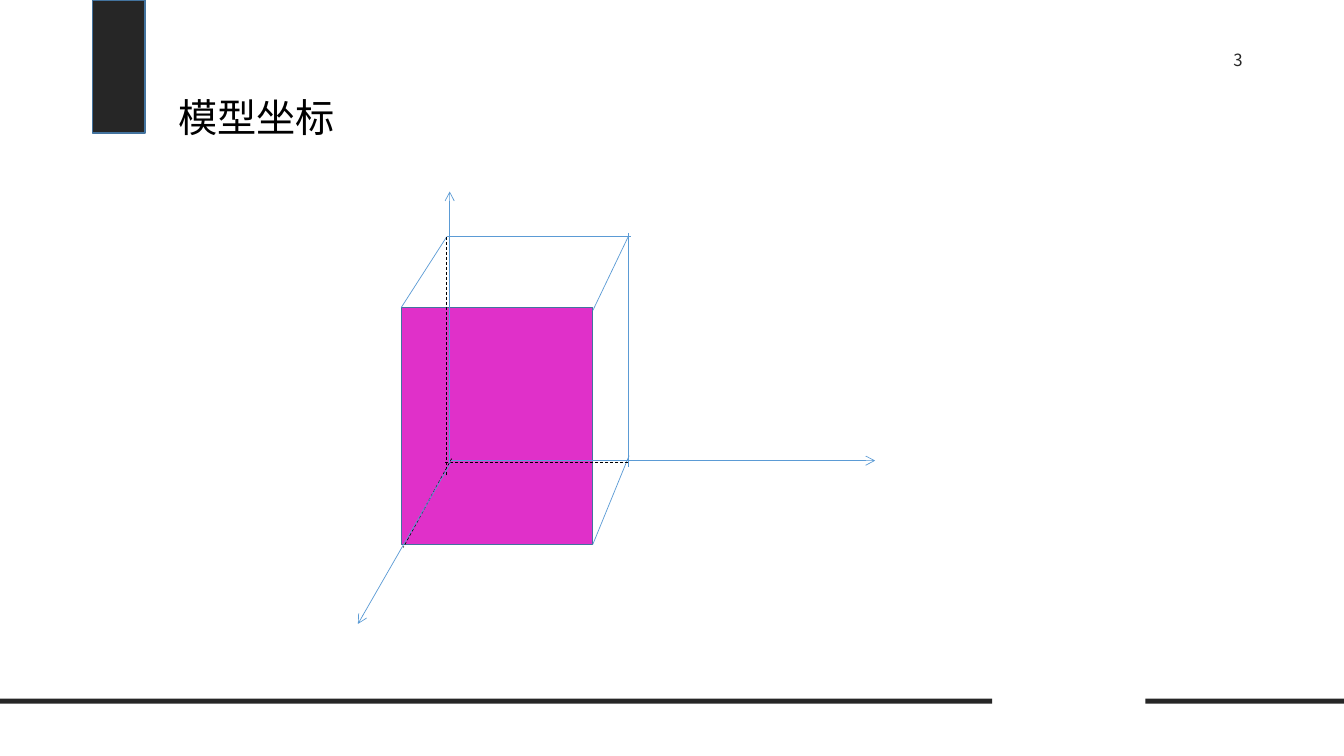
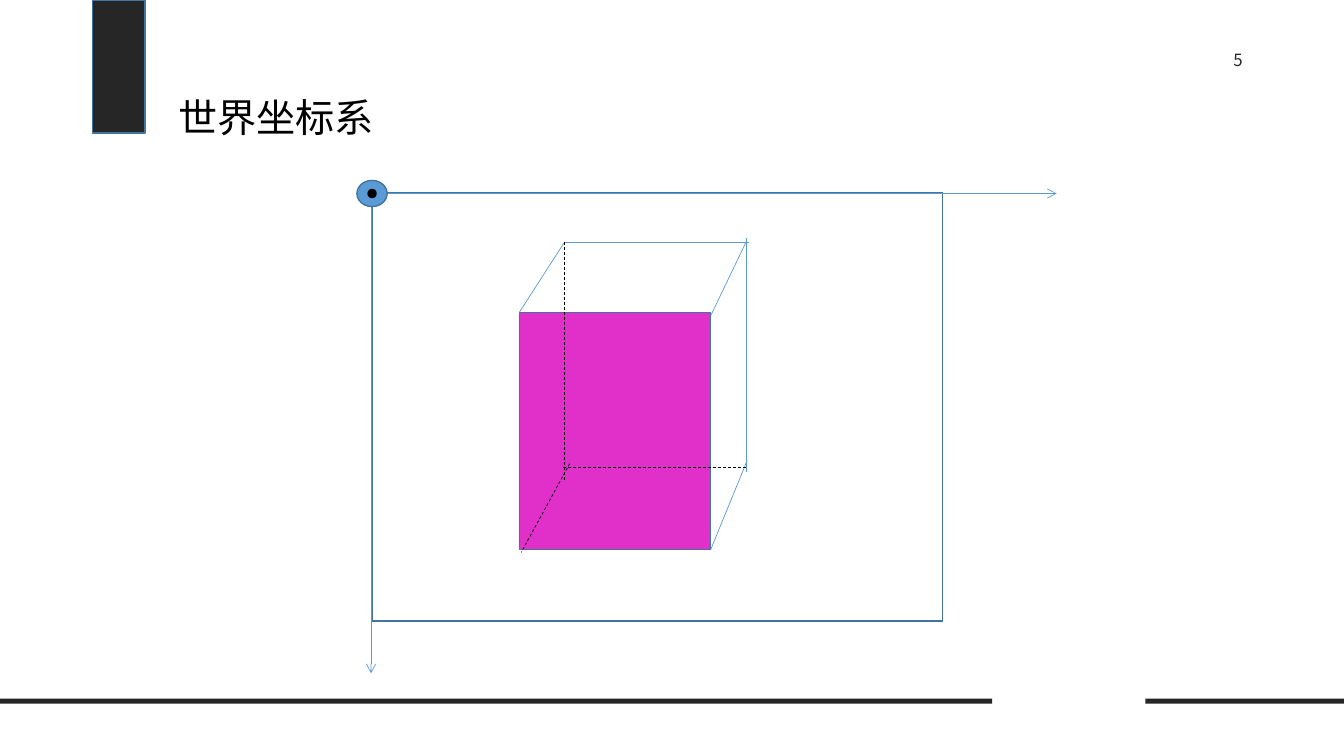
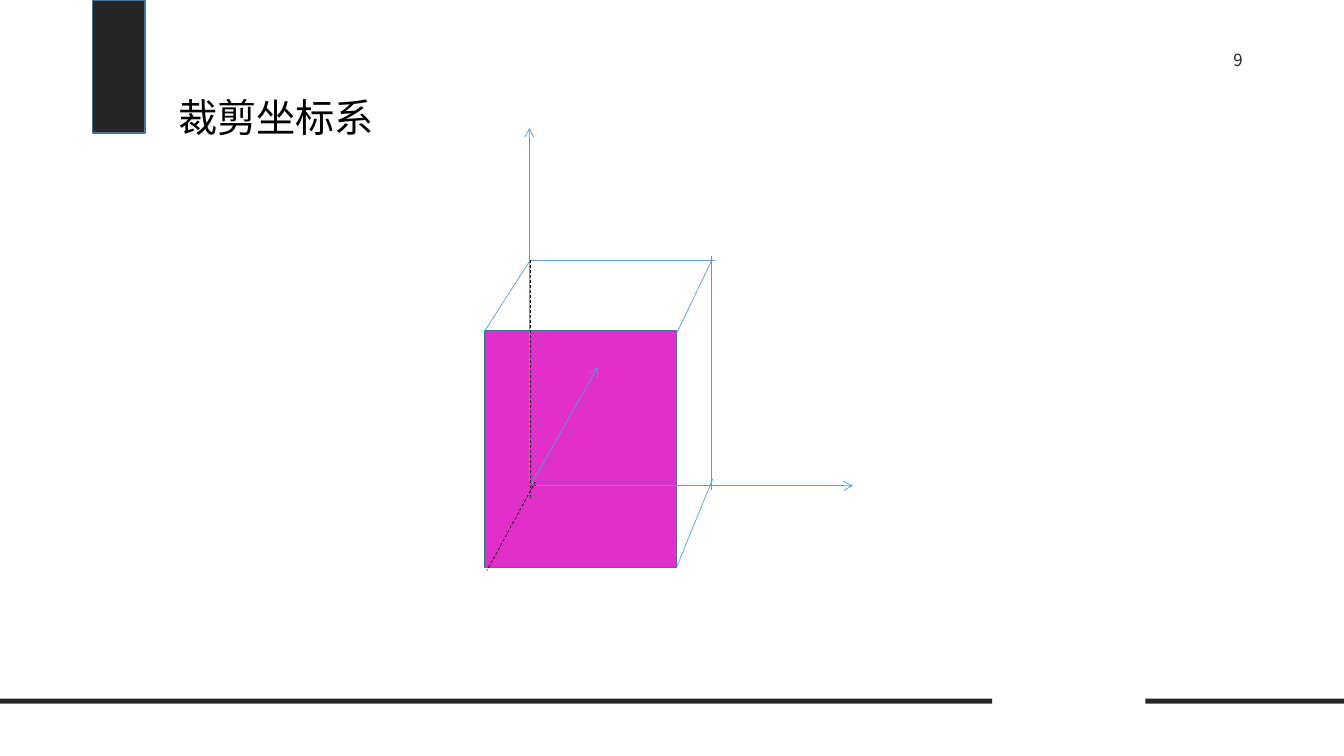
from dataclasses import dataclass

import lxml.etree
import pptx
import pptx.dml.color
import pptx.enum.dml
import pptx.enum.shapes
import pptx.enum.text
import pptx.oxml.ns
import pptx.util

Inches = pptx.util.Inches
Pt = pptx.util.Pt
RGB = pptx.dml.color.RGBColor
SHAPE = pptx.enum.shapes.MSO_SHAPE
ALIGN = pptx.enum.text.PP_ALIGN
ANCHOR = pptx.enum.text.MSO_ANCHOR
qn = pptx.oxml.ns.qn

Point = tuple[float, float]


@dataclass(frozen=True)
class Theme:
    font: str = "Noto Sans CJK SC"
    dark: str = "262626"
    black: str = "000000"
    blue: str = "5B9BD5"
    outline: str = "43739E"
    face: str = "E030C9"
    title_size: float = 28
    number_size: float = 12
    outline_width: float = 1
    line_width: float = 0.5


@dataclass(frozen=True)
class Box:
    left: float
    top: float
    width: float
    height: float


@dataclass(frozen=True)
class Line:
    start: Point
    end: Point
    hidden: bool = False
    arrow: bool = False


@dataclass(frozen=True)
class Page:
    number: int
    title: str
    cube: Point
    axes: tuple[Line, ...]
    frame: Box | None = None
    origin: Point | None = None


THEME = Theme()
MARKER = Box(0.92, 0, 0.52, 1.32)
FOOTER_BANDS = (Box(0, 6.93, 9.84, 0.05), Box(11.36, 6.93, 1.97, 0.05))
TITLE = Box(1.67, 0.62, 10, 0.83)
NUMBER = Box(11.83, 0.37, 0.9, 0.44)

FACE_SIZE = (1.9, 2.35)
CUBE_EDGES = (
    Line((0, 0), (0.45, -0.7)),
    Line((1.9, 0.03), (2.25, -0.7)),
    Line((0.45, -0.7), (2.28, -0.7)),
    Line((2.25, -0.74), (2.25, 1.58)),
    Line((1.9, 2.35), (2.26, 1.47)),
    Line((0.45, -0.7), (0.45, 1.68), hidden=True),
    Line((2.25, 1.54), (0.42, 1.54), hidden=True),
    Line((0.5, 1.5), (0.02, 2.38), hidden=True),
)

PAGES = (
    Page(3, "模型坐标", (3.98, 3.05), (
        Line((4.47, 4.57), (8.68, 4.57), arrow=True),
        Line((4.47, 4.59), (3.55, 6.19), arrow=True),
        Line((4.46, 4.59), (4.46, 1.9), arrow=True),
    )),
    Page(5, "世界坐标系", (5.15, 3.1), (
        Line((3.68, 1.91), (3.68, 6.68), arrow=True),
        Line((3.69, 1.92), (10.48, 1.92), arrow=True),
    ), frame=Box(3.69, 1.91, 5.66, 4.25), origin=(3.69, 1.92)),
    Page(9, "裁剪坐标系", (4.81, 3.28), (
        Line((5.32, 4.82), (8.46, 4.82), arrow=True),
        Line((5.26, 4.82), (5.93, 3.64), arrow=True),
        Line((5.25, 4.77), (5.25, 1.27), arrow=True),
    )),
)


def place(box: Box) -> tuple:
    return tuple(Inches(v) for v in (box.left, box.top, box.width, box.height))


def shift(point: Point, by: Point) -> Point:
    return point[0] + by[0], point[1] + by[1]


def draw_shape(s, box: Box, fill: str | None, line: str | None = None,
               kind=SHAPE.RECTANGLE) -> None:
    sp = s.shapes.add_shape(kind, *place(box))
    sp.shadow.inherit = False
    if fill:
        sp.fill.solid()
        sp.fill.fore_color.rgb = RGB.from_string(fill)
    else:
        sp.fill.background()
    if line:
        sp.line.color.rgb = RGB.from_string(line)
        sp.line.width = Pt(THEME.outline_width)
    else:
        sp.line.fill.background()


def draw_circle(s, center: Point, width: float, height: float, fill: str, line: str) -> None:
    box = Box(center[0] - width / 2, center[1] - height / 2, width, height)
    draw_shape(s, box, fill, line, SHAPE.OVAL)


def draw_line(s, line: Line, offset: Point = (0, 0)) -> None:
    ends = (*shift(line.start, offset), *shift(line.end, offset))
    sp = s.shapes.add_connector(pptx.enum.shapes.MSO_CONNECTOR.STRAIGHT,
                                *(Inches(v) for v in ends))
    sp.line.color.rgb = RGB.from_string(THEME.black if line.hidden else THEME.blue)
    sp.line.width = Pt(THEME.line_width)
    if line.hidden:
        sp.line.dash_style = pptx.enum.dml.MSO_LINE.DASH
    props = sp._element.spPr
    if line.arrow:
        lxml.etree.SubElement(props.find(qn("a:ln")), qn("a:tailEnd"), type="arrow")
    lxml.etree.SubElement(props, qn("a:effectLst"))


def draw_text(s, box: Box, text: str, size: float, color: str, align, anchor,
              spacing: float = 1) -> None:
    tf = s.shapes.add_textbox(*place(box)).text_frame
    tf.word_wrap = True
    tf.vertical_anchor = anchor
    p = tf.paragraphs[0]
    p.alignment = align
    p.line_spacing = spacing
    r = p.add_run()
    r.text = text
    r.font.size = Pt(size)
    r.font.name = THEME.font
    r.font.color.rgb = RGB.from_string(color)
    lxml.etree.SubElement(r.font._element, qn("a:ea"), typeface=THEME.font)


def draw_common(s, page: Page) -> None:
    draw_shape(s, MARKER, THEME.dark, THEME.outline)
    for band in FOOTER_BANDS:
        draw_shape(s, band, THEME.dark)
    draw_text(s, NUMBER, str(page.number), THEME.number_size, THEME.dark,
              ALIGN.CENTER, ANCHOR.MIDDLE)
    draw_text(s, TITLE, page.title, THEME.title_size, THEME.black,
              ALIGN.LEFT, ANCHOR.BOTTOM, 0.9)


def draw_cube(s, corner: Point) -> None:
    draw_shape(s, Box(*corner, *FACE_SIZE), THEME.face, THEME.outline)
    for edge in CUBE_EDGES:
        draw_line(s, edge, corner)


def draw_page(prs, page: Page) -> None:
    s = prs.slides.add_slide(prs.slide_layouts[6])
    draw_common(s, page)
    if page.frame:
        draw_shape(s, page.frame, None, THEME.outline)
    draw_cube(s, page.cube)
    for axis in page.axes:
        draw_line(s, axis)
    if page.origin:
        draw_circle(s, page.origin, 0.3, 0.26, THEME.blue, THEME.outline)
        draw_circle(s, page.origin, 0.08, 0.08, THEME.black, THEME.black)


def main() -> None:
    prs = pptx.Presentation()
    prs.slide_width = Inches(13.33)
    prs.slide_height = Inches(7.5)
    for page in PAGES:
        draw_page(prs, page)
    prs.save("out.pptx")


if __name__ == "__main__":
    main()
